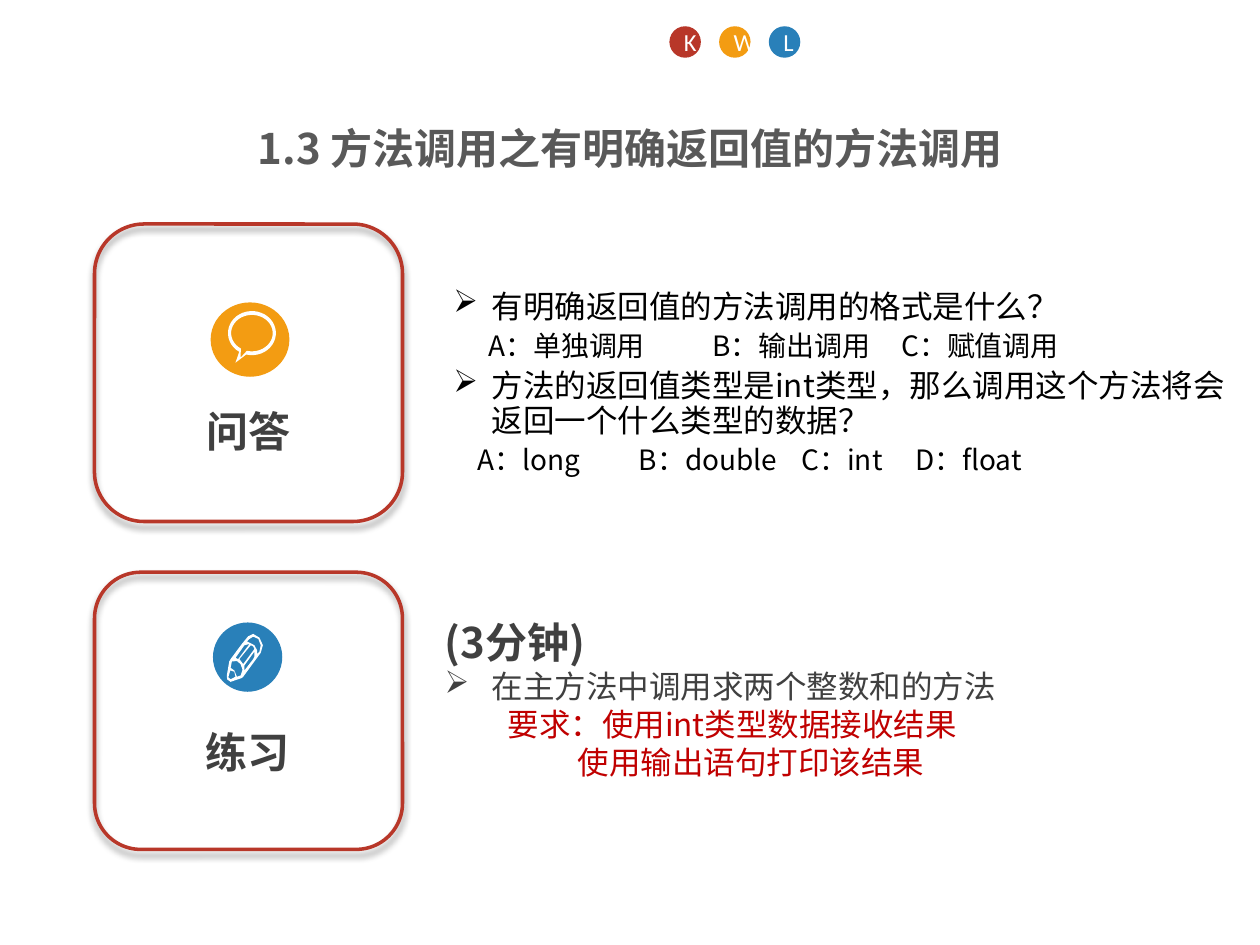
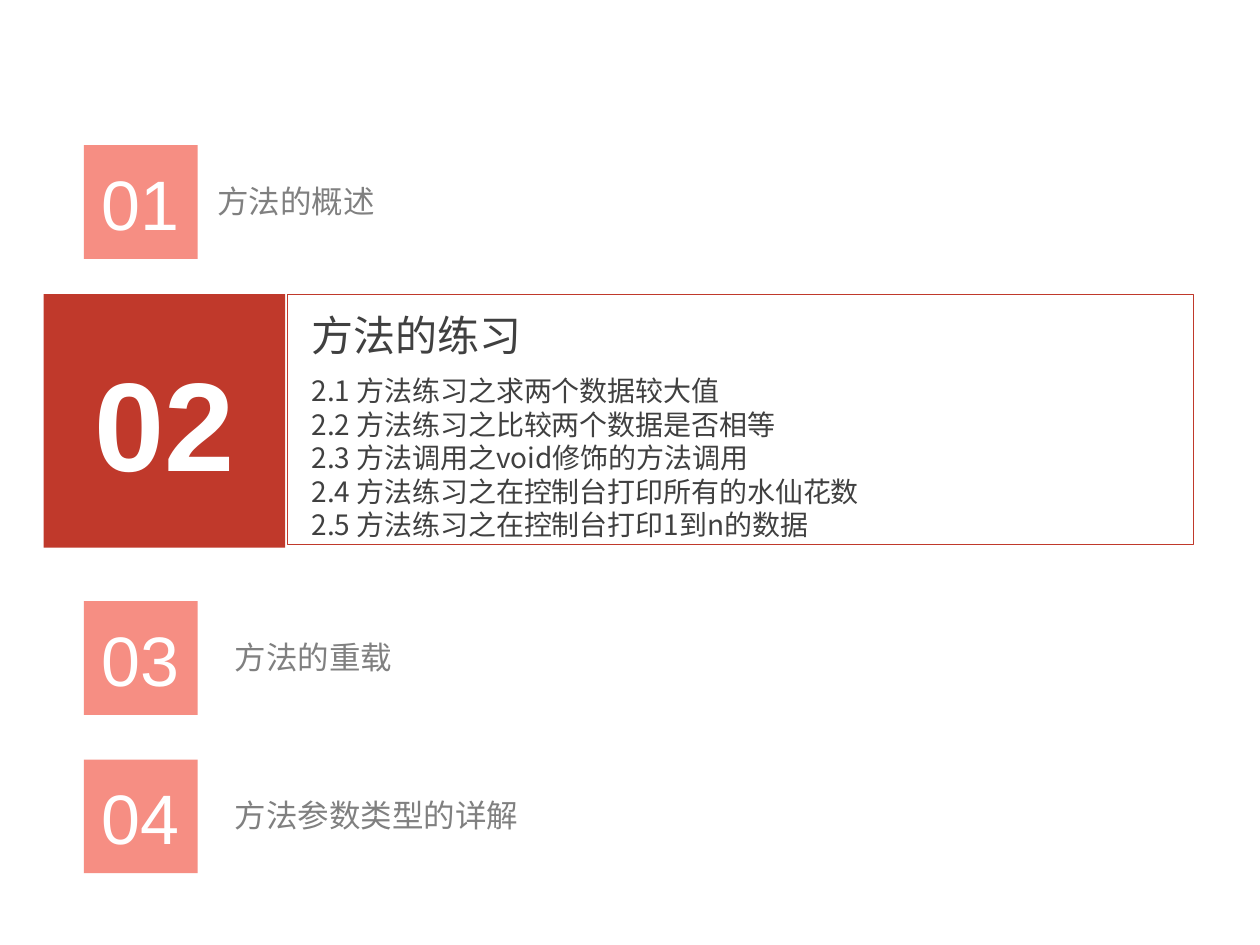
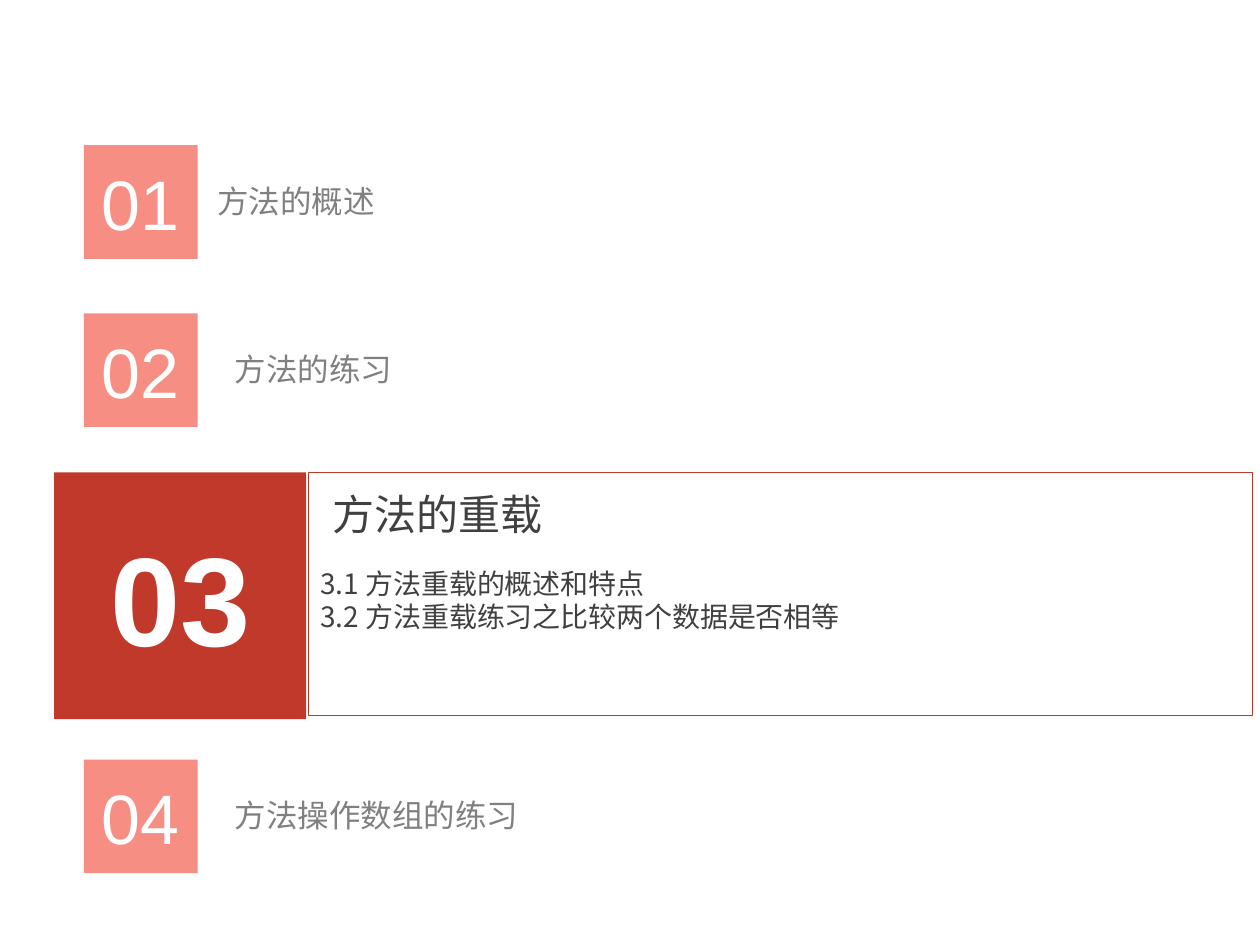
"""Build three lesson slides: a question and practice page and two agenda pages."""
import math

import pptx
import pptx.dml.color
import pptx.enum.shapes
import pptx.enum.text
import pptx.oxml
import pptx.oxml.ns
import pptx.util

Pt = pptx.util.Pt
SHAPE = pptx.enum.shapes.MSO_SHAPE
ALIGN = pptx.enum.text.PP_ALIGN
ANCHOR = pptx.enum.text.MSO_ANCHOR

CJK = "Noto Sans CJK SC"
WHITE, RED, ORANGE, BLUE = "FFFFFF", "B83729", "F39C12", "2980B9"
ACTIVE, FADED, DARK, GREY = "C0392B", "F47264", "404040", "808080"

TITLE = {"size": 24, "color": "595959", "bold": True, "align": ALIGN.CENTER}
LABEL = {"size": 24, "color": DARK, "bold": True, "line": 1.1}
QUESTION = {"size": 18, "color": "000000", "line": 1.1, "after": 4, "indent": 22, "bullet": "➢"}
CHOICES = {"size": 16, "color": "000000", "line": 1.1, "after": 4}
TASK = {"size": 18, "color": DARK, "indent": 27, "bullet": "➢"}
DEMAND = {"size": 18, "color": "C00000"}
BADGE = {"size": 14, "color": WHITE, "name": "Calibri", "align": ALIGN.CENTER}
NUMBER = {"size": 40, "color": WHITE, "name": "Arial", "align": ALIGN.CENTER}
BIG_NUMBER = NUMBER | {"size": 72, "bold": True}
HEADING = {"size": 24, "color": DARK, "align": ALIGN.LEFT}
ENTRY = {"size": 16, "color": DARK}
ITEM = {"size": 18, "color": GREY}

LESSON_TITLE = "1.3 方法调用之有明确返回值的方法调用"
BADGES = [("K", RED), ("W", ORANGE), ("L", BLUE)]
CARDS = [
    {"label": "问答", "frame": (54, 128, 176, 170), "label_at": (111, 230.4),
     "disc": (120.4, 172.8, 45, 42.5), "color": ORANGE, "icon_at": (130.3, 177.8)},
    {"label": "练习", "frame": (54, 327, 176, 158.4), "label_at": (110.3, 414),
     "disc": (121.7, 355.7, 39.6, 39.6), "color": BLUE, "icon_at": (129.6, 362.2)},
]
QUESTIONS = [
    ("有明确返回值的方法调用的格式是什么？", QUESTION),
    ("A：单独调用\tB：输出调用\tC：赋值调用", CHOICES | {"indent": 20, "tabs": (128, 236)}),
    ("方法的返回值类型是int类型，那么调用这个方法将会返回一个什么类型的数据？", QUESTION),
    ("A：long\tB：double\tC：int\tD：float", CHOICES | {"indent": 14, "tabs": (92, 185, 250)}),
]
PRACTICE = [
    ("(3分钟)", LABEL | {"line": 1.2}),
    ("在主方法中调用求两个整数和的方法", TASK),
    ("要求：使用int类型数据接收结果", DEMAND | {"indent": 36}),
    ("使用输出语句打印该结果", DEMAND | {"indent": 76}),
]
AGENDAS = [
    {"number": "02", "heading": "方法的练习", "block": (25, 168, 138, 145),
     "panel_width": 518, "entries_offset": (8, 42),
     "entries": ["2.1 方法练习之求两个数据较大值", "2.2 方法练习之比较两个数据是否相等",
                 "2.3 方法调用之void修饰的方法调用", "2.4 方法练习之在控制台打印所有的水仙花数",
                 "2.5 方法练习之在控制台打印1到n的数据"],
     "items": [("01", "方法的概述", 117, 83), ("03", "方法的重载", 127, 343.5),
               ("04", "方法参数类型的详解", 127, 434)]},
    {"number": "03", "heading": "方法的重载", "block": (31, 270, 144, 141),
     "panel_width": 539.5, "entries_offset": (1, 50),
     "entries": ["3.1 方法重载的概述和特点", "3.2 方法重载练习之比较两个数据是否相等"],
     "items": [("01", "方法的概述", 117, 83), ("02", "方法的练习", 127, 179),
               ("04", "方法操作数组的练习", 127, 434)]},
]
PENCIL = [
    [(18.7, 2.2), (15.1, 0), (12.2, 1.4), (8.6, 5.8), (2.2, 14.4), (1.4, 15.8), (0, 23.8),
     (0.2, 26), (2.2, 27.4), (8.6, 25.2), (9.4, 24.5), (19.4, 10.8), (20.6, 6.5)],
    [(18.7, 10.1), (17.3, 11.5), (17.3, 9.4), (15.8, 6.5), (11.5, 4.3), (13, 2.9),
     (15.1, 1.6), (18, 2.9), (19.4, 6.5)],
    [(5.8, 24.5), (4.3, 20.9), (2.2, 19.4), (2.9, 15.8), (5.8, 15.5), (7.9, 17.3),
     (9, 20.5), (7.9, 23.8)],
    [(2.2, 25.9), (0.9, 24.8), (2, 20.9), (4.3, 21.6), (5, 24.5)],
    [(6.5, 14.4), (5, 13.7), (10.1, 6.5), (13, 5.8)],
    [(9.4, 17.3), (7.2, 14.4), (13.7, 6.5), (15.1, 7.2), (15.8, 8.6)],
    [(10.1, 20.9), (10.1, 18), (15.8, 10.1), (15.8, 13), (15.1, 14.4)],
]


def rgb(color):
    return pptx.dml.color.RGBColor.from_string(color)


def add_xml(parent, tag, **attributes):
    child = pptx.oxml.parse_xml(f'<a:{tag} {pptx.oxml.ns.nsdecls("a")}/>')
    for name, value in attributes.items():
        child.set(name, str(value))
    parent.append(child)
    return child


def format_paragraph(paragraph, style):
    size, indent = style["size"], style.get("indent", 0)
    spacing = {
        "alignment": style.get("align", ALIGN.LEFT),
        "line_spacing": Pt(size * style.get("line", 1.2)),
        "space_before": Pt(0),
        "space_after": Pt(style.get("after", 0)),
    }
    for name, value in spacing.items():
        setattr(paragraph, name, value)
    properties = paragraph._p.get_or_add_pPr()
    properties.set("marL", str(Pt(indent)))
    if "bullet" in style:
        properties.set("indent", str(-Pt(indent)))
        add_xml(properties, "buChar", char=style["bullet"])
    if "tabs" in style:
        tab_list = add_xml(properties, "tabLst")
        for position in style["tabs"]:
            add_xml(tab_list, "tab", pos=Pt(position), algn="l")


def write(shape, lines, anchor=ANCHOR.TOP):
    frame = shape.text_frame
    frame.word_wrap = True
    frame.auto_size = pptx.enum.text.MSO_AUTO_SIZE.NONE
    frame.vertical_anchor = anchor
    for index, (text, style) in enumerate(lines):
        paragraph = frame.add_paragraph() if index else frame.paragraphs[0]
        format_paragraph(paragraph, style)
        run = paragraph.add_run()
        run.text = text
        font_name = style.get("name", CJK)
        font = {"size": Pt(style["size"]), "bold": style.get("bold", False), "name": font_name}
        for name, value in font.items():
            setattr(run.font, name, value)
        run.font.color.rgb = rgb(style["color"])
        add_xml(run._r.get_or_add_rPr(), "ea", typeface=font_name)


def add_text(slide, box, lines):
    write(slide.shapes.add_textbox(*map(Pt, box)), lines)


def set_title(slide, box, text, style):
    title = slide.shapes.title
    for name, value in zip(("left", "top", "width", "height"), box):
        setattr(title, name, Pt(value))
    write(title, [(text, style)])


def paint(shape, fill=None, line=None, line_width=1):
    shape.shadow.inherit = False
    if fill:
        shape.fill.solid()
        shape.fill.fore_color.rgb = rgb(fill)
    else:
        shape.fill.background()
    if line:
        shape.line.color.rgb = rgb(line)
        shape.line.width = Pt(line_width)
    else:
        shape.line.fill.background()
    return shape


def add_shape(slide, kind, box, **colors):
    return paint(slide.shapes.add_shape(kind, *map(Pt, box)), **colors)


def add_shadow(shape):
    effects = shape._element.spPr.find(pptx.oxml.ns.qn("a:effectLst"))
    shadow = add_xml(effects, "outerShdw", blurRad=Pt(4), dist=Pt(3), dir=5400000, rotWithShape=0)
    add_xml(add_xml(shadow, "srgbClr", val="000000"), "alpha", val=40000)


def bubble_contour(radius_x, radius_y, tail):
    angles = map(math.radians, range(122, 465, 9))
    return [(13.7 + radius_x * math.cos(angle), 12.6 + radius_y * math.sin(angle))
            for angle in angles] + [tail]


def add_icon(slide, origin, contours):
    builder = None
    for contour in contours:
        start, *rest = [(Pt(x), Pt(y)) for x, y in contour]
        if builder is None:
            builder = slide.shapes.build_freeform(*start)
        else:
            builder.move_to(*start)
        builder.add_line_segments(rest, close=True)
    paint(builder.convert_to_shape(*map(Pt, origin)), fill=WHITE)


def build_lesson(slide):
    set_title(slide, (0, 66.2, 720, 34), LESSON_TITLE, TITLE)
    for index, (letter, color) in enumerate(BADGES):
        badge = add_shape(slide, SHAPE.OVAL, (382.5 + 28.4 * index, 15, 18, 18), fill=color)
        write(badge, [(letter, BADGE)], ANCHOR.MIDDLE)
    bubble = [bubble_contour(13.7, 12.6, (4.3, 29.5)), bubble_contour(11.9, 10.4, (7.2, 26.6))]
    for card, icon in zip(CARDS, (bubble, PENCIL)):
        frame = add_shape(slide, SHAPE.ROUNDED_RECTANGLE, card["frame"], line=RED, line_width=2)
        add_shadow(frame)
        add_shape(slide, SHAPE.OVAL, card["disc"], fill=card["color"])
        add_icon(slide, card["icon_at"], icon)
        add_text(slide, (*card["label_at"], 70, 34), [(card["label"], LABEL)])
    add_text(slide, (252, 162, 456.5, 166), QUESTIONS)
    add_text(slide, (247, 349, 458.5, 102), PRACTICE)


def build_agenda(slide, agenda):
    left, top, width, height = agenda["block"]
    right = left + width
    block = add_shape(slide, SHAPE.RECTANGLE, agenda["block"], fill=ACTIVE)
    write(block, [(agenda["number"], BIG_NUMBER)], ANCHOR.MIDDLE)
    panel = (right + 1, top, agenda["panel_width"], height - 2)
    add_shape(slide, SHAPE.RECTANGLE, panel, line=ACTIVE, line_width=0.5)
    set_title(slide, (right + 8, top + 5.5, 300, 36), agenda["heading"], HEADING)
    shift_x, shift_y = agenda["entries_offset"]
    add_text(slide, (right + shift_x, top + shift_y, 500, height - shift_y),
             [(entry, ENTRY) for entry in agenda["entries"]])
    for number, text, text_left, item_top in agenda["items"]:
        square = add_shape(slide, SHAPE.RECTANGLE, (48, item_top, 65, 65), fill=FADED)
        color = square._element.spPr.find(".//" + pptx.oxml.ns.qn("a:srgbClr"))
        add_xml(color, "alpha", val=80000)
        write(square, [(number, NUMBER)], ANCHOR.MIDDLE)
        add_text(slide, (text_left, item_top + 17.5, 215, 36), [(text, ITEM)])


def main():
    presentation = pptx.Presentation()
    presentation.slide_width, presentation.slide_height = Pt(720), Pt(540)
    title_only = presentation.slide_layouts[5]
    build_lesson(presentation.slides.add_slide(title_only))
    for agenda in AGENDAS:
        build_agenda(presentation.slides.add_slide(title_only), agenda)
    presentation.save("out.pptx")


if __name__ == "__main__":
    main()
